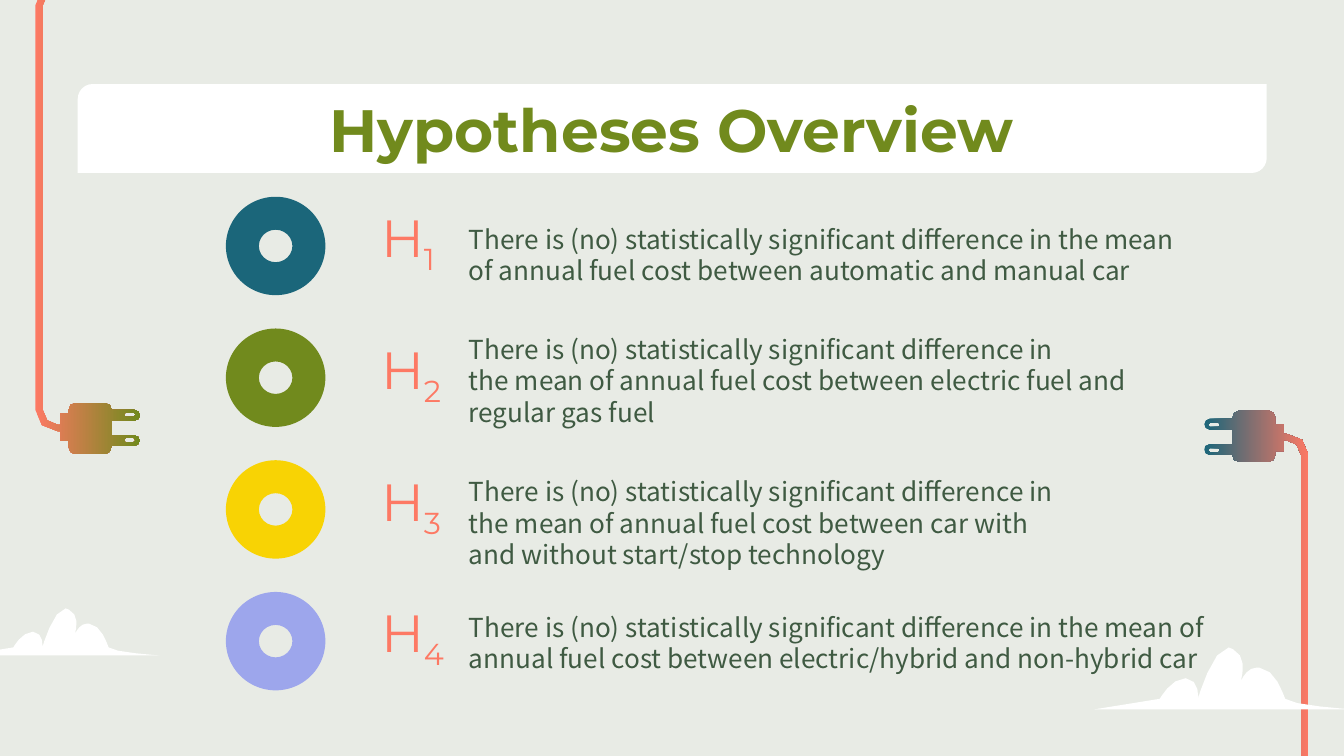
from dataclasses import dataclass
from pptx import Presentation
from pptx.dml.color import RGBColor as RGB
from pptx.enum.shapes import MSO_SHAPE as Shape
from pptx.enum.text import MSO_ANCHOR as Anchor, PP_ALIGN as Align
from pptx.util import Cm, Pt


@dataclass(frozen=True)
class Theme:
    back: str = "E8EBE5"
    white: str = "FFFFFF"
    coral: str = "FD7964"
    olive: str = "718A1D"
    teal: str = "1B667A"
    yellow: str = "F8D304"
    lilac: str = "9DA6EC"
    ink: str = "3F5A42"
    head: str = "Montserrat"
    body: str = "Noto Sans CJK KR"
    title: int = 32
    label: int = 28
    text: int = 14


# Outlines in cm: pairs are line ends, sixes are Bezier curves
def slot(y):
    return [(2.53, y - .04), (2.37, y - .04),
            (2.33, y - .04, 2.33, y + .04, 2.37, y + .04),
            (2.53, y + .04), (2.58, y + .04, 2.58, y - .04, 2.53, y - .04)]


PLUG = [
    [(2.64, 7.85), (2.64, 7.9, 2.62, 7.95, 2.54, 7.95), (2.11, 7.95),
     (2.11, 8.23), (2.54, 8.23), (2.6, 8.23, 2.64, 8.28, 2.64, 8.33),
     (2.64, 8.38, 2.59, 8.43, 2.54, 8.43), (2.11, 8.43),
     (2.11, 8.51, 2.06, 8.59, 1.98, 8.59), (1.42, 8.59),
     (1.35, 8.59, 1.3, 8.51, 1.3, 8.46), (1.3, 8.33), (1.14, 8.33),
     (1.14, 8.15), (1.09, 8.15), (.86, 8.15, .67, 7.98, .67, 7.75),
     (.67, .1), (.67, -.18, .91, -.41, 1.17, -.41), (2.13, -.41),
     (2.13, -.25), (1.17, -.25), (.97, -.25, .81, -.1, .81, .1),
     (.81, 7.75), (.81, 7.9, .94, 8.03, 1.09, 8.03), (1.14, 8.03),
     (1.14, 7.82), (1.3, 7.82), (1.3, 7.75),
     (1.3, 7.67, 1.35, 7.62, 1.42, 7.62), (1.98, 7.62),
     (2.06, 7.62, 2.11, 7.67, 2.11, 7.75), (2.54, 7.75),
     (2.6, 7.75, 2.64, 7.8, 2.64, 7.85)],
    slot(7.84), slot(8.32)]

CLOUD = [
    [(2.54, 0), (2.24, 0, 1.96, .97, 1.96, .97),
     (1.96, .97, 2.01, .61, 1.73, .58), (1.45, .58, 1.24, .97, 1.24, .97),
     (0, 1.17), (4.88, 1.17), (4.88, 1.17, 3.68, 1.09, 3.61, .97),
     (3.56, .86, 3.43, .41, 3.12, .38), (3.07, .38),
     (2.92, .38, 2.82, .53, 2.77, .64), (2.82, .46, 2.87, .15, 2.62, .03),
     (2.54, 0)]]


def trace(steps, count):
    """Turn lines and curves into a list of points."""
    dots = [steps[0]]
    for step in steps[1:]:
        if len(step) == 2:
            dots.append(step)
            continue
        knots = [dots[-1], step[:2], step[2:4], step[4:]]
        for i in range(1, count + 1):
            t = i / count
            mix = ((1 - t) ** 3, 3 * t * (1 - t) ** 2, 3 * t * t * (1 - t), t ** 3)
            dots.append(tuple(sum(m * k[a] for m, k in zip(mix, knots))
                              for a in (0, 1)))
    return dots


class Deck:
    def __init__(self, theme):
        self.theme = theme
        self.file = Presentation()
        self.file.slide_width, self.file.slide_height = Cm(25.4), Cm(14.29)
        self.slide = self.file.slides.add_slide(self.file.slide_layouts[6])
        fill = self.slide.background.fill
        fill.solid()
        fill.fore_color.rgb = RGB.from_string(theme.back)

    def paint(self, shape, *hues):
        """Fill with one colour, or with a blend from left to right."""
        shape.shadow.inherit = False
        shape.line.fill.background()
        if len(hues) == 1:
            shape.fill.solid()
            shape.fill.fore_color.rgb = RGB.from_string(hues[0])
        else:
            shape.fill.gradient()
            shape.fill.gradient_angle = 0
            for stop, hue in zip(shape.fill.gradient_stops, hues):
                stop.color.rgb = RGB.from_string(hue)

    def shape(self, kind, x, y, w, h, hue, *adj):
        item = self.slide.shapes.add_shape(kind, Cm(x), Cm(y), Cm(w), Cm(h))
        for i, value in enumerate(adj):
            item.adjustments[i] = value
        self.paint(item, hue)

    def outline(self, loops, x, y, scale, count, *hues):
        pen = None
        for loop in loops:
            dots = [(Cm(x + scale * a), Cm(y + scale * b))
                    for a, b in trace(loop, count)]
            if pen is None:
                pen = self.slide.shapes.build_freeform(*dots[0], scale=1.0)
            else:
                pen.move_to(*dots[0])
            pen.add_line_segments(dots[1:-1], close=True)
        self.paint(pen.convert_to_shape(), *hues)

    def text(self, words, x, y, w, h, font, size, hue, sub="",
             bold=False, align=Align.LEFT, anchor=Anchor.TOP):
        box = self.slide.shapes.add_textbox(Cm(x), Cm(y), Cm(w), Cm(h))
        frame = box.text_frame
        frame.word_wrap = True
        frame.vertical_anchor = anchor
        frame.margin_left = frame.margin_right = Cm(.25)
        frame.margin_top = frame.margin_bottom = Cm(.25)
        frame.text = words
        if sub:
            run = frame.paragraphs[0].add_run()
            run.text = sub
            run._r.get_or_add_rPr().set("baseline", "-25000")
        for para in frame.paragraphs:
            para.alignment = align
            for run in para.runs:
                run.font.name, run.font.size = font, Pt(size)
                run.font.bold = bold
                run.font.color.rgb = RGB.from_string(hue)


def main():
    look = Theme()
    deck = Deck(look)

    # Plugs: the right one is the left one turned by half
    deck.outline(PLUG, 25.4, 16.35, -1, 2, look.teal, look.coral)
    deck.outline(PLUG, 0, 0, 1, 2, look.coral, look.olive)

    # Clouds
    deck.outline(CLOUD, 20.68, 12.24, 1, 4, look.white)
    deck.outline(CLOUD, -.69, 11.5, .76, 4, look.white)

    # Title on its banner
    deck.shape(Shape.ROUND_2_DIAG_RECTANGLE, 1.47, 1.59, 22.47, 1.68,
               look.white, .167, 0)
    deck.text("Hypotheses Overview", 1.98, 1.5, 21.44, 1.6, look.head,
              look.title, look.olive, bold=True, align=Align.CENTER)

    # Hypotheses: ring colour, text top, width and height, wording
    rows = [
        (look.teal, 3.97, 14.07, 1.68,
         "There is (no) statistically significant difference in the mean "
         "of annual fuel cost between automatic and manual car"),
        (look.olive, 6.05, 13.11, 1.8,
         "There is (no) statistically significant difference in\n"
         "the mean of annual fuel cost between electric fuel and "
         "regular gas fuel"),
        (look.yellow, 8.74, 14.35, 1.8,
         "There is (no) statistically significant difference in\n"
         "the mean of annual fuel cost between car with\n"
         "and without start/stop technology"),
        (look.lilac, 11.3, 14.55, 1.8,
         "There is (no) statistically significant difference in the mean of "
         "annual fuel cost between electric/hybrid and non-hybrid car"),
    ]
    for i, (hue, top, wide, high, words) in enumerate(rows):
        drop = 2.49 * i
        deck.shape(Shape.DONUT, 4.27, 3.72 + drop, 1.88, 1.86, hue, .335)
        deck.text("H", 6.96, 4.1 + drop, 1.83, .91, look.head, look.label,
                  look.coral, sub=str(i + 1), anchor=Anchor.MIDDLE)
        deck.text(words, 8.61, top, wide, high, look.body, look.text, look.ink)

    deck.file.save("out.pptx")


if __name__ == "__main__":
    main()
